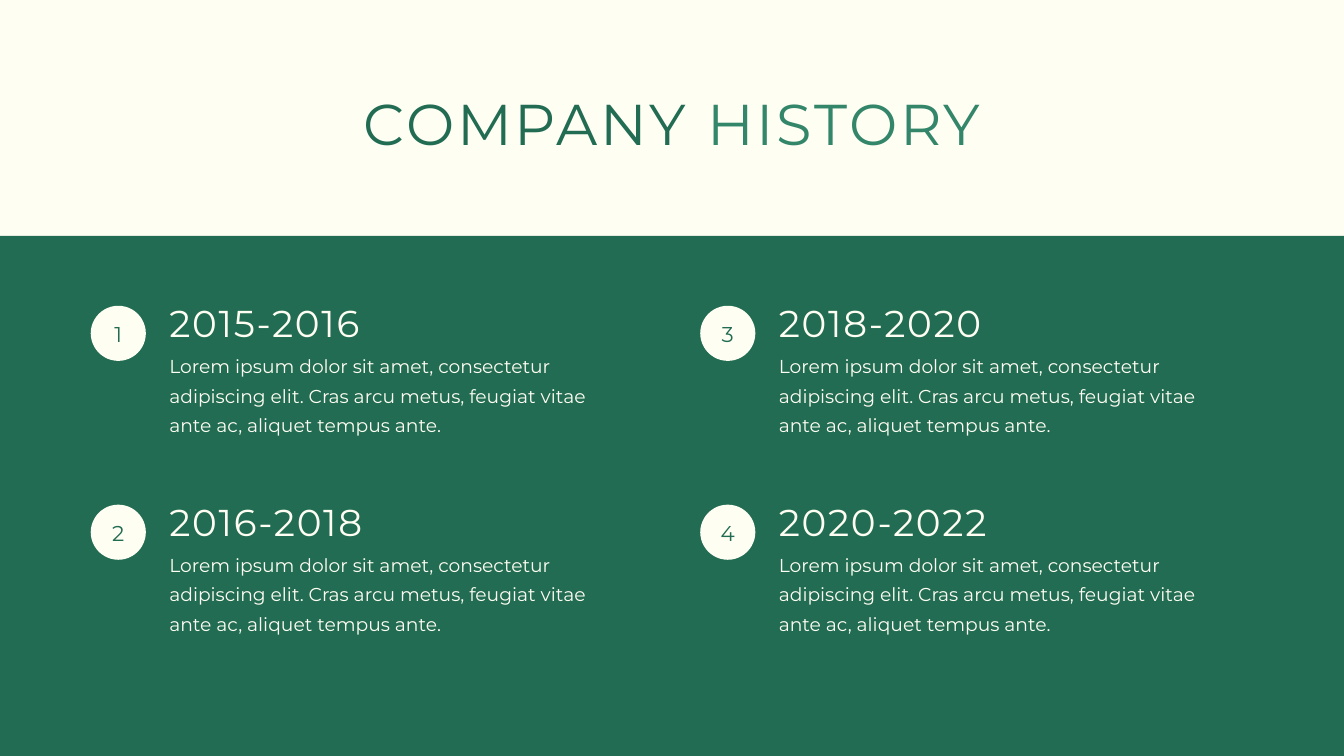
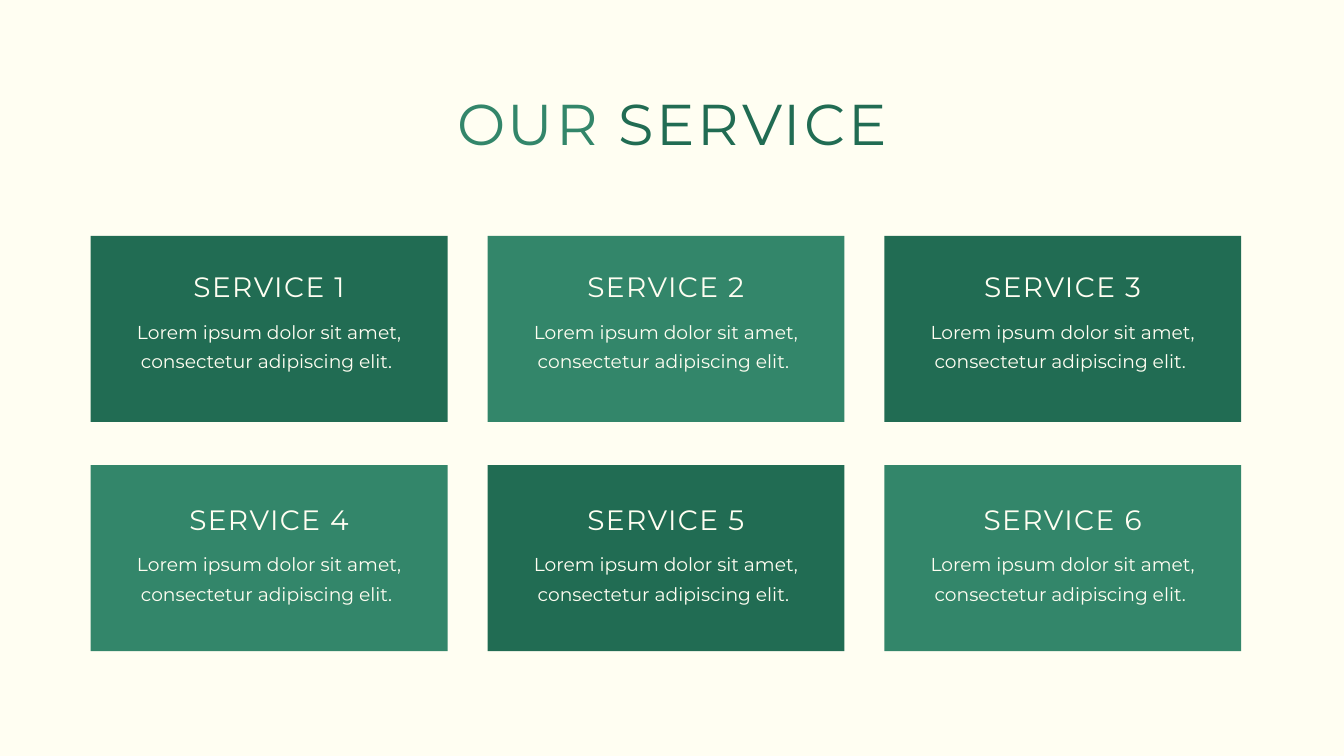
from itertools import product

from pptx import Presentation
from pptx.dml.color import RGBColor
from pptx.enum import shapes, text
from pptx.util import Inches, Pt

CREAM = RGBColor(0xFF, 0xFE, 0xF2)
DARK = RGBColor(0x21, 0x6C, 0x53)
LIGHT = RGBColor(0x33, 0x86, 0x6A)

LEFT = text.PP_ALIGN.LEFT
CENTER = text.PP_ALIGN.CENTER
FONT = "Montserrat"
WIDTH, HEIGHT = 20, 11.25
MARGIN, CONTENT_TOP = 1.35, 3.51

STYLES = {
    "title": {"size": 61.6, "line": 86.2, "spacing": 3},
    "period": {"size": 40, "line": 56, "spacing": 1.9},
    "service": {"size": 30, "line": 42, "spacing": 1.5},
    "body": {"size": 20, "line": 31.8, "spacing": 0},
    "number": {"size": 23, "line": 32.2, "spacing": 0},
}

PERIODS = ["2015-2016", "2016-2018", "2018-2020", "2020-2022"]
PERIOD_TEXT = (
    "Lorem ipsum dolor sit amet, consectetur adipiscing elit. "
    "Cras arcu metus, feugiat vitae ante ac, aliquet tempus ante."
)
SERVICE_TEXT = "Lorem ipsum dolor sit amet, consectetur adipiscing elit. "


def set_attributes(target, values):
    for name, value in values.items():
        setattr(target, name, value)


def write(tf, runs, style, align):
    look = STYLES[style]
    margins = dict.fromkeys(
        ["margin_left", "margin_top", "margin_right", "margin_bottom"], 0
    )
    set_attributes(tf, {"word_wrap": True, **margins})
    p = tf.paragraphs[0]
    set_attributes(p, {"alignment": align, "line_spacing": Pt(look["line"])})
    for words, color in runs:
        r = p.add_run()
        r.text = words
        set_attributes(r.font, {"name": FONT, "size": Pt(look["size"])})
        r.font.color.rgb = color
        if look["spacing"]:
            r._r.get_or_add_rPr().set("spc", str(round(look["spacing"] * 100)))


def add_text(s, box, runs, style, align=LEFT):
    tf = s.shapes.add_textbox(*map(Inches, box)).text_frame
    write(tf, runs, style, align)
    tf.auto_size = text.MSO_AUTO_SIZE.SHAPE_TO_FIT_TEXT


def add_block(s, kind, box, color):
    sp = s.shapes.add_shape(kind, *map(Inches, box))
    sp.shadow.inherit = False
    sp.fill.solid()
    sp.fill.fore_color.rgb = color
    sp.line.fill.background()
    return sp


def add_titled_slide(prs, title_runs):
    s = prs.slides.add_slide(prs.slide_layouts[6])
    s.background.fill.solid()
    s.background.fill.fore_color.rgb = CREAM
    title_width = 11.25
    box = ((WIDTH - title_width) / 2, 1.14, title_width, 1.15)
    add_text(s, box, title_runs, "title", CENTER)
    return s


def add_period(s, left, top, number, period):
    badge = add_block(
        s, shapes.MSO_SHAPE.OVAL, (left, top + 0.2, 0.82, 0.82), CREAM
    )
    tf = badge.text_frame
    write(tf, [(str(number), DARK)], "number", CENTER)
    set_attributes(
        tf,
        {"vertical_anchor": text.MSO_ANCHOR.MIDDLE, "margin_bottom": Inches(0.05)},
    )
    text_left = left + 1.17
    add_text(s, (text_left, top + 0.82, 6.9, 1.28), [(PERIOD_TEXT, CREAM)], "body")
    add_text(s, (text_left, top, 5.01, 0.73), [(period, CREAM)], "period")


def add_service(s, box, text_inset, name, color):
    left, top, width, _ = box
    add_block(s, shapes.MSO_SHAPE.RECTANGLE, box, color)
    labels = [
        (name, "service", 4, 0.56, 0),
        (SERVICE_TEXT, "body", 4.9, 0.84, 0.73),
    ]
    for words, style, label_width, label_height, offset in labels:
        label_box = (
            left + (width - label_width) / 2,
            top + text_inset + offset,
            label_width,
            label_height,
        )
        add_text(s, label_box, [(words, CREAM)], style, CENTER)


def build_history(prs):
    s = add_titled_slide(prs, [("COMPANY ", DARK), ("HISTORY", LIGHT)])
    band = (0, CONTENT_TOP, WIDTH, HEIGHT - CONTENT_TOP)
    add_block(s, shapes.MSO_SHAPE.RECTANGLE, band, DARK)
    for i, period in enumerate(PERIODS):
        col, row = divmod(i, 2)
        add_period(s, MARGIN + col * 9.07, 4.35 + row * 2.96, i + 1, period)


def build_services(prs):
    s = add_titled_slide(prs, [("OUR ", LIGHT), ("SERVICE", DARK)])
    text_insets = [0.42, 0.47]
    for i, (row, col) in enumerate(product(range(2), range(3))):
        box = (MARGIN + col * 5.905, CONTENT_TOP + row * 3.41, 5.31, 2.77)
        color = LIGHT if i % 2 else DARK
        add_service(s, box, text_insets[row], f"SERVICE {i + 1}", color)


def main():
    prs = Presentation()
    set_attributes(
        prs, {"slide_width": Inches(WIDTH), "slide_height": Inches(HEIGHT)}
    )
    build_history(prs)
    build_services(prs)
    prs.save("out.pptx")


if __name__ == "__main__":
    main()
